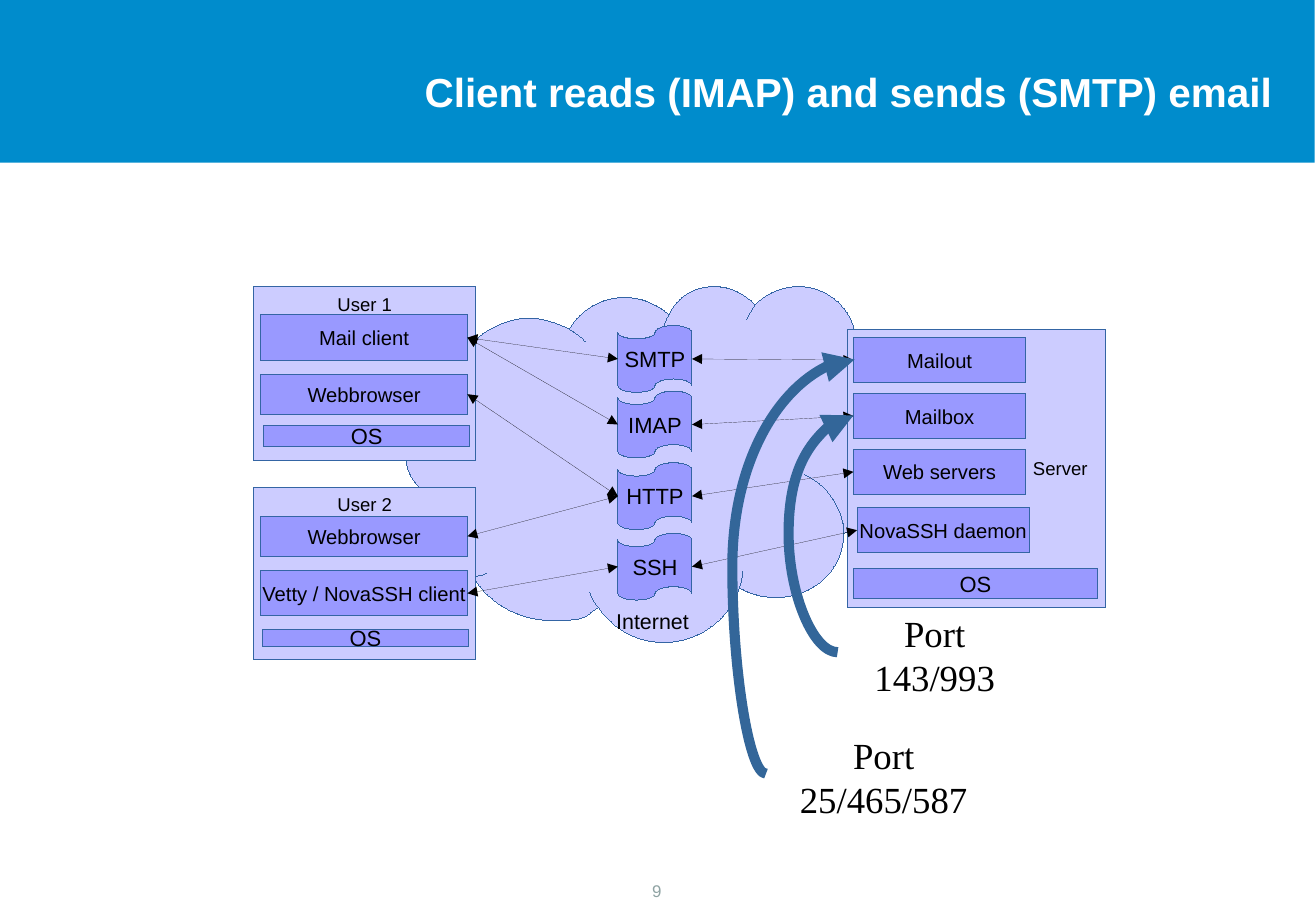
import lxml.etree
import pptx
import pptx.dml.color
import pptx.enum.shapes
import pptx.enum.text
import pptx.oxml.ns
import pptx.util

Inches = pptx.util.Inches
RGBColor = pptx.dml.color.RGBColor
MSO_SHAPE = pptx.enum.shapes.MSO_SHAPE
MSO_CONNECTOR = pptx.enum.shapes.MSO_CONNECTOR
PP_ALIGN = pptx.enum.text.PP_ALIGN
MSO_ANCHOR = pptx.enum.text.MSO_ANCHOR
qn = pptx.oxml.ns.qn

HEADER_BLUE = RGBColor(0x00, 0x8C, 0xCC)
PALE_VIOLET = RGBColor(0xCC, 0xCC, 0xFF)
VIOLET = RGBColor(0x99, 0x99, 0xFF)
OUTLINE_BLUE = RGBColor(0x34, 0x65, 0xA4)
ARROW_BLUE = RGBColor(0x33, 0x66, 0x99)
GREY = RGBColor(0x8F, 0xA3, 0xA3)
BLACK = RGBColor(0, 0, 0)
WHITE = RGBColor(0xFF, 0xFF, 0xFF)

CLOUD_OUTLINE = [
    (3.71, 3.33),
    (3.63, 2.97), (4, 2.62), (4.36, 2.62), (4.47, 2.62), (4.59, 2.66), (4.69, 2.71),
    (4.78, 2.55), (4.95, 2.45), (5.15, 2.45), (5.27, 2.45), (5.41, 2.5), (5.51, 2.59),
    (5.58, 2.44), (5.72, 2.36), (5.88, 2.36), (6.02, 2.36), (6.14, 2.42), (6.22, 2.51),
    (6.3, 2.42), (6.44, 2.36), (6.58, 2.36), (6.8, 2.36), (6.99, 2.51), (7.04, 2.72),
    (7.25, 2.78), (7.41, 2.98), (7.41, 3.2), (7.41, 3.27), (7.4, 3.33), (7.37, 3.4),
    (7.46, 3.5), (7.52, 3.64), (7.52, 3.78), (7.52, 4.09), (7.27, 4.35), (6.95, 4.39),
    (6.95, 4.69), (6.7, 4.92), (6.39, 4.92), (6.28, 4.92), (6.18, 4.89), (6.09, 4.84),
    (6.01, 5.1), (5.75, 5.29), (5.47, 5.29), (5.25, 5.29), (5.05, 5.18), (4.93, 5),
    (4.81, 5.07), (4.87, 5.11), (4.55, 5.11), (4.28, 5.11), (4.03, 4.97), (3.9, 4.75),
    (3.59, 4.74), (3.43, 4.57), (3.43, 4.34), (3.43, 4.24), (3.47, 4.15), (3.55, 4.07),
    (3.41, 4.01), (3.34, 3.88), (3.34, 3.73), (3.34, 3.52), (3.5, 3.35), (3.71, 3.33),
]
CLOUD_FOLDS = [
    [(3.71, 3.33), (3.72, 3.36), (3.73, 3.4), (3.74, 3.43)],
    [(4.69, 2.71), (4.73, 2.74), (4.79, 2.77), (4.82, 2.81)],
    [(5.51, 2.59), (5.49, 2.62), (5.48, 2.65), (5.47, 2.68)],
    [(6.22, 2.51), (6.19, 2.55), (6.17, 2.59), (6.15, 2.63)],
    [(7.04, 2.72), (7.04, 2.75), (7.06, 2.8), (7.05, 2.82)],
    [(7.37, 3.4), (7.34, 3.46), (7.29, 3.53), (7.23, 3.58)],
    [(6.95, 4.39), (6.96, 4.28), (6.87, 4.01), (6.63, 3.91)],
    [(6.09, 4.84), (6.11, 4.79), (6.11, 4.75), (6.12, 4.71)],
    [(4.93, 5), (4.9, 4.97), (4.88, 4.93), (4.86, 4.88)],
    [(3.9, 4.75), (3.94, 4.74), (3.97, 4.74), (4.01, 4.72)],
    [(3.55, 4.07), (3.61, 4.11), (3.68, 4.14), (3.79, 4.12)],
]
PANELS = [
    ("User 1", (2.09, 2.36, 1.83, 1.43), 0, MSO_ANCHOR.TOP),
    ("User 2", (2.09, 4.01, 1.83, 1.42), 0, MSO_ANCHOR.TOP),
    ("Server", (6.98, 2.71, 2.13, 2.29), 1.38, MSO_ANCHOR.MIDDLE),
]
PROGRAMS = [
    ("mail", "Mail client", (2.15, 2.59, 1.7, 0.38), 12),
    ("browser 1", "Webbrowser", (2.15, 3.08, 1.7, 0.33), 12),
    ("user OS 1", "OS", (2.17, 3.5, 1.7, 0.18), 13),
    ("browser 2", "Webbrowser", (2.15, 4.25, 1.7, 0.33), 12),
    ("shell", "Vetty / NovaSSH client", (2.15, 4.7, 1.7, 0.37), 12),
    ("user OS 2", "OS", (2.16, 5.18, 1.7, 0.14), 13),
    ("sender", "Mailout", (7.03, 2.78, 1.42, 0.37), 12),
    ("mailbox", "Mailbox", (7.03, 3.24, 1.42, 0.37), 12),
    ("web", "Web servers", (7.03, 3.7, 1.42, 0.37), 12),
    ("daemon", "NovaSSH daemon", (7.06, 4.18, 1.42, 0.37), 12),
    ("server OS", "OS", (7.03, 4.68, 2.01, 0.25), 13),
]
PROTOCOLS = [("SMTP", 2.68), ("IMAP", 3.22), ("HTTP", 3.81), ("SSH", 4.39)]
LINKS = [
    ("mail", "SMTP"), ("mail", "IMAP"), ("browser 1", "HTTP"),
    ("browser 2", "HTTP"), ("shell", "SSH"), ("SMTP", "sender"),
    ("IMAP", "mailbox"), ("HTTP", "web"), ("SSH", "daemon"),
]
PORTS = [
    ("Port 25/465/587", (6.31, 5.98, 1.94, 0.77), (6.31, 6.37, 7.04, 2.96), -0.38),
    ("Port 143/993", (6.9, 4.98, 1.6, 0.77), (6.9, 5.37, 7.03, 3.42), -3.11),
]


def write_text(shape, text, size=12, color=BLACK, font="Arial", bold=False,
               align=PP_ALIGN.CENTER, anchor=MSO_ANCHOR.MIDDLE, wrap=False,
               margins=(0.1, 0.05, 0.1, 0.05)):
    """Put formatted text into a shape."""
    frame = shape.text_frame
    frame.word_wrap = wrap
    frame.vertical_anchor = anchor
    (frame.margin_left, frame.margin_top,
     frame.margin_right, frame.margin_bottom) = map(Inches, margins)
    paragraph = frame.paragraphs[0]
    paragraph.alignment = align
    run = paragraph.add_run()
    run.text = text
    run.font.size = pptx.util.Pt(size)
    run.font.name = font
    run.font.bold = bold
    run.font.color.rgb = color


def add_curves(path_list, points, shape, closed):
    """Add a path of cubic curves to a custom geometry."""
    path = lxml.etree.SubElement(path_list, qn("a:path"), w=str(shape.width), h=str(shape.height))
    if not closed:
        path.set("fill", "none")
    groups = [points[:1]] + [points[i:i + 3] for i in range(1, len(points), 3)]
    for group in groups:
        command = lxml.etree.SubElement(path, qn("a:moveTo" if len(group) == 1 else "a:cubicBezTo"))
        for x, y in group:
            lxml.etree.SubElement(command, qn("a:pt"), x=str(Inches(x) - shape.left),
                                  y=str(Inches(y) - shape.top))
    if closed:
        lxml.etree.SubElement(path, qn("a:close"))


class NetworkSlide:
    """Draws the elements of the diagram on one slide."""

    def __init__(self, presentation):
        self.slide = presentation.slides.add_slide(presentation.slide_layouts[6])
        self.shapes = self.slide.shapes

    def stroke(self, shape, color, width=0):
        """Set line colour and width, and return the line element."""
        shape.line.color.rgb = color
        line = shape._element.spPr.find(qn("a:ln"))
        line.set("w", str(pptx.util.Pt(width)))
        return line

    def paint(self, shape, fill, outline=OUTLINE_BLUE):
        """Set fill and hairline, and drop the shadow."""
        shape.shadow.inherit = False
        shape.fill.solid()
        shape.fill.fore_color.rgb = fill
        if outline is None:
            shape.line.fill.background()
        else:
            self.stroke(shape, outline)

    def box(self, place, fill, outline=OUTLINE_BLUE, kind=MSO_SHAPE.RECTANGLE):
        """Add a filled preset shape."""
        shape = self.shapes.add_shape(kind, *map(Inches, place))
        self.paint(shape, fill, outline)
        return shape

    def label(self, text, place, **style):
        """Add a wrapping text box."""
        write_text(self.shapes.add_textbox(*map(Inches, place)), text, wrap=True, **style)

    def cloud(self, text):
        """Add the cloud with its folds and caption."""
        joints = [tuple(map(Inches, point)) for point in CLOUD_OUTLINE[::3]]
        builder = self.shapes.build_freeform(*joints[0], scale=1.0)
        builder.add_line_segments(joints[1:], close=True)
        shape = builder.convert_to_shape()
        path_list = shape._element.spPr.find(qn("a:custGeom")).find(qn("a:pathLst"))
        path_list.remove(path_list[0])
        add_curves(path_list, CLOUD_OUTLINE, shape, True)
        for fold in CLOUD_FOLDS:
            add_curves(path_list, fold, shape, False)
        self.paint(shape, PALE_VIOLET)
        write_text(shape, text, size=12.7, anchor=MSO_ANCHOR.BOTTOM, margins=(0, 0, 0.11, 0.07))

    def arrow(self, kind, ends, color, width, heads):
        """Add a connector with triangular heads."""
        connector = self.shapes.add_connector(kind, *map(Inches, ends))
        line = self.stroke(connector, color, width)
        for head in heads:
            lxml.etree.SubElement(line, qn(head)).set("type", "triangle")
        lxml.etree.SubElement(connector._element.spPr, qn("a:effectLst"))
        return connector

    def link(self, left_shape, right_shape):
        """Join two shapes with a double-headed line."""
        connector = self.arrow(MSO_CONNECTOR.STRAIGHT, (0, 0, 1, 1), BLACK, 0,
                               ("a:headEnd", "a:tailEnd"))
        connector.begin_connect(left_shape, 3)
        connector.end_connect(right_shape, 1)

    def port_arrow(self, ends, bend):
        """Add a thick curved arrow."""
        connector = self.arrow(MSO_CONNECTOR.CURVE, ends, ARROW_BLUE, 6, ("a:tailEnd",))
        guides = connector._element.spPr.find(qn("a:prstGeom")).find(qn("a:avLst"))
        lxml.etree.SubElement(guides, qn("a:gd"), name="adj1", fmla=f"val {round(bend * 100000)}")


def main():
    """Build and save the slide."""
    presentation = pptx.Presentation()
    presentation.slide_width = Inches(10.84)
    presentation.slide_height = Inches(7.5)
    diagram = NetworkSlide(presentation)
    diagram.box((0, 0, 10.83, 1.34), HEADER_BLUE, None)
    diagram.label("Client reads (IMAP) and sends (SMTP) email", (0.81, 0.25, 9.67, 1), size=24,
                  color=WHITE, bold=True, align=PP_ALIGN.RIGHT, margins=(0, 0, 0, 0))
    diagram.label("9", (4.98, 7.2, 0.86, 0.25), size=10, color=GREY, anchor=MSO_ANCHOR.TOP)
    diagram.cloud("Internet")
    for text, place, indent, anchor in PANELS:
        write_text(diagram.box(place, PALE_VIOLET), text, size=11, anchor=anchor, wrap=True,
                   margins=(indent, 0.05, 0, 0.05))
    nodes = {}
    for name, text, place, size in PROGRAMS:
        nodes[name] = diagram.box(place, VIOLET)
        write_text(nodes[name], text, size=size)
    for text, top in PROTOCOLS:
        nodes[text] = diagram.box((5.09, top, 0.61, 0.55), VIOLET,
                                  kind=MSO_SHAPE.FLOWCHART_PUNCHED_TAPE)
        write_text(nodes[text], text, size=13)
    for left, right in LINKS:
        diagram.link(nodes[left], nodes[right])
    for text, place, ends, bend in PORTS:
        diagram.label(text, place, size=21.8, font="Times New Roman", anchor=MSO_ANCHOR.TOP)
        diagram.port_arrow(ends, bend)
    presentation.save("out.pptx")


if __name__ == "__main__":
    main()
